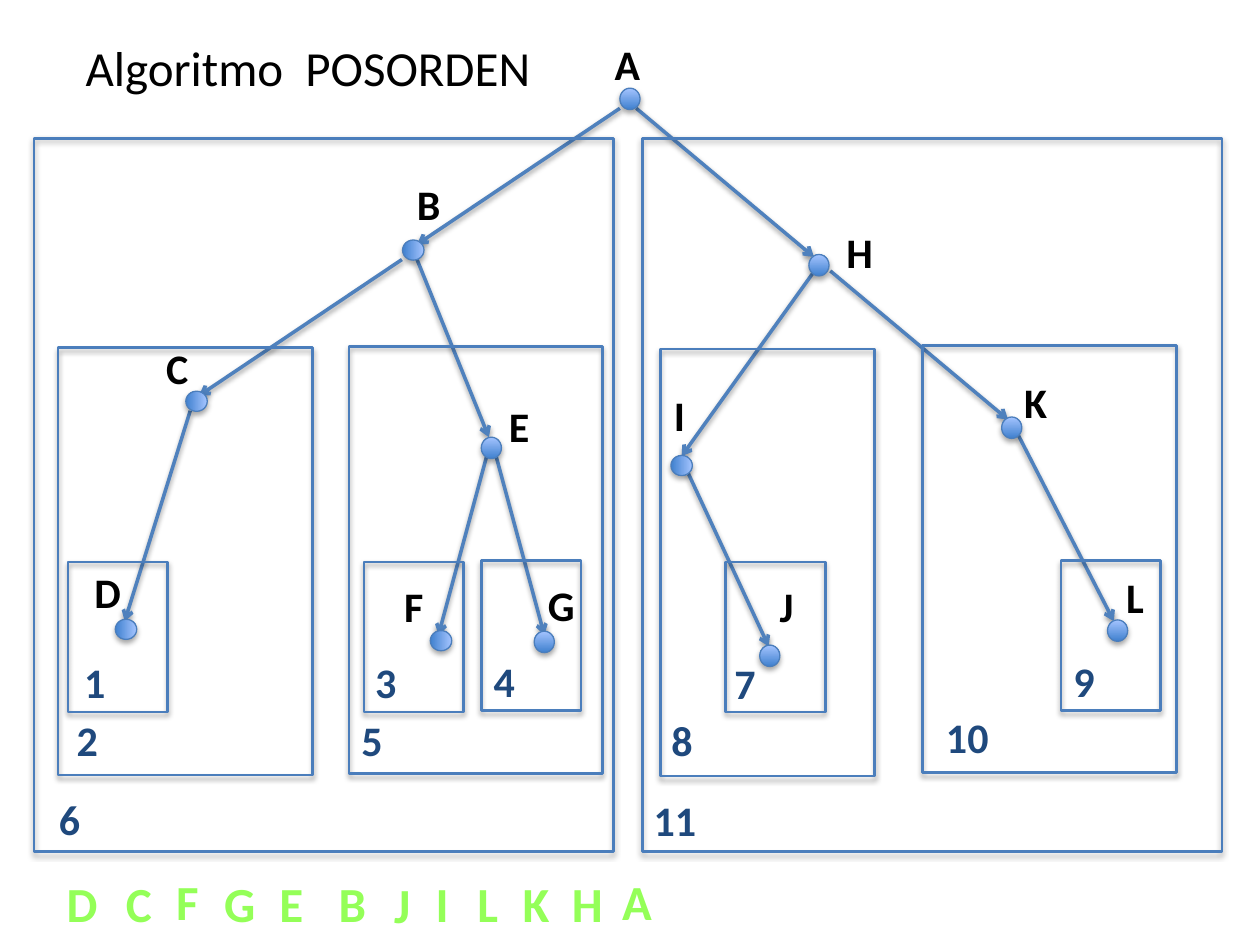
from dataclasses import dataclass
from typing import NamedTuple

from lxml.etree import SubElement
from pptx import Presentation
from pptx.dml.color import RGBColor
from pptx.enum.shapes import MSO_CONNECTOR as Connector, MSO_SHAPE as Shape
from pptx.enum.text import MSO_ANCHOR as Anchor, MSO_AUTO_SIZE as AutoSize, PP_ALIGN as Align
from pptx.oxml import parse_xml
from pptx.oxml.ns import nsdecls, qn
from pptx.util import Inches, Pt


@dataclass(frozen=True)
class Theme:
    font: str = "Calibri"
    ink: str = "000000"
    number: str = "1F497D"
    visit: str = "94FF58"
    visit_outline: str = "295E12"
    border: str = "4B7EBC"
    edge: str = "4F81BD"
    dot_dark: str = "3F80CE"
    dot_light: str = "A4C4FF"
    label_size: int = 24
    large_size: int = 28


class Node(NamedTuple):
    name: str
    left: float
    top: float
    label_left: float
    label_top: float
    turned: bool = False


class Edge(NamedTuple):
    x1: float
    y1: float
    x2: float
    y2: float


class Frame(NamedTuple):
    number: int
    left: float
    top: float
    width: float
    height: float
    number_left: float
    number_top: float


class Visit(NamedTuple):
    name: str
    left: float
    width: float = 0.43
    top: float = 6.88


THEME = Theme()
DOT_WIDTH, DOT_HEIGHT = 0.16, 0.17
LEAF = (0.79, 1.19)
HALF = (4.6, 5.66)

NODES = [
    Node("A", 4.92, 0.7, 4.78, 0.26),
    Node("B", 3.2, 1.9, 3.21, 1.37, True),
    Node("C", 1.48, 3.1, 1.22, 2.67, True),
    Node("D", 0.92, 4.91, 0.65, 4.45, True),
    Node("E", 3.82, 3.47, 3.94, 3.13),
    Node("F", 3.42, 5, 3.11, 4.56, True),
    Node("G", 4.24, 5.01, 4.25, 4.55),
    Node("H", 6.42, 2.02, 6.62, 1.75),
    Node("I", 5.33, 3.61, 5.25, 3.04, True),
    Node("J", 6.03, 5.12, 6.09, 4.56),
    Node("K", 7.95, 3.31, 8.03, 2.94),
    Node("L", 8.79, 4.92, 8.84, 4.49),
]

EDGES = [
    Edge(4.92, 0.86, 3.31, 1.94),
    Edge(5.05, 0.86, 6.46, 2.04),
    Edge(3.19, 2.06, 1.58, 3.14),
    Edge(3.31, 2.06, 3.88, 3.47),
    Edge(1.51, 3.26, 0.99, 4.93),
    Edge(3.86, 3.63, 3.48, 5.04),
    Edge(3.94, 3.63, 4.32, 5.04),
    Edge(6.45, 2.17, 5.41, 3.62),
    Edge(6.59, 2.15, 8, 3.33),
    Edge(5.45, 3.73, 6.1, 5.13),
    Edge(8.08, 3.45, 8.84, 4.93),
]

FRAMES = [
    Frame(1, 0.54, 4.46, *LEAF, 0.57, 5.16),
    Frame(2, 0.46, 2.76, 2.02, 3.39, 0.51, 5.62),
    Frame(3, 2.89, 4.46, *LEAF, 2.88, 5.16),
    Frame(4, 3.82, 4.45, *LEAF, 3.82, 5.15),
    Frame(5, 2.77, 2.75, 2.01, 3.39, 2.77, 5.62),
    Frame(6, 0.27, 1.1, *HALF, 0.37, 6.25),
    Frame(7, 5.76, 4.46, *LEAF, 5.73, 5.17),
    Frame(8, 5.24, 2.77, 1.7, 3.39, 5.23, 5.62),
    Frame(9, 8.42, 4.45, *LEAF, 8.42, 5.15),
    Frame(10, 7.32, 2.74, 2.02, 3.39, 7.41, 5.6),
    Frame(11, 5.1, 1.1, *HALF, 5.09, 6.26),
]

VISITS = [
    Visit("D", 0.43), Visit("C", 0.9), Visit("F", 1.3, top=6.87), Visit("G", 1.68),
    Visit("E", 2.12), Visit("B", 2.59), Visit("J", 3.03, 0.36, 6.89), Visit("I", 3.36, 0.39),
    Visit("L", 3.69), Visit("K", 4.05), Visit("H", 4.44), Visit("A", 4.84, top=6.87),
]


def color(value: str) -> RGBColor:
    return RGBColor.from_string(value)


def cast_shadow(properties, distance: float, opacity: int) -> None:
    for old in properties.findall(qn("a:effectLst")):
        properties.remove(old)
    properties.append(parse_xml(
        f'<a:effectLst {nsdecls("a")}>'
        f'<a:outerShdw blurRad="{Pt(3.1)}" dist="{Pt(distance)}" dir="5400000" rotWithShape="0">'
        f'<a:srgbClr val="000000"><a:alpha val="{opacity * 1000}"/></a:srgbClr>'
        '</a:outerShdw></a:effectLst>'))


def add_span(para, text: str, size: int, ink: str, bold: bool):
    span = para.add_run()
    span.text = text
    span.font.name = THEME.font
    span.font.size = Pt(size)
    span.font.bold = bold
    span.font.color.rgb = color(ink)
    return span


def add_label(page, text: str, left: float, top: float, ink: str,
              width: float = 0.67, height: float = 0.5, size: int = THEME.label_size):
    box = page.shapes.add_textbox(Inches(left), Inches(top), Inches(width), Inches(height))
    box.text_frame.word_wrap = True
    box.text_frame.auto_size = AutoSize.SHAPE_TO_FIT_TEXT
    return add_span(box.text_frame.paragraphs[0], text, size, ink, True)


def add_outlined(page, kind: Shape, left: float, top: float,
                 width: float, height: float, weight: float):
    shape = page.shapes.add_shape(kind, Inches(left), Inches(top), Inches(width), Inches(height))
    shape.line.color.rgb = color(THEME.border)
    shape.line.width = Pt(weight)
    return shape


def draw_edge(page, edge: Edge) -> None:
    line = page.shapes.add_connector(Connector.STRAIGHT, *map(Inches, edge))
    line.line.color.rgb = color(THEME.edge)
    line.line.width = Pt(2)
    SubElement(line.line._get_or_add_ln(), qn("a:tailEnd"), type="arrow")
    cast_shadow(line._element.spPr, 1.6, 38)


def draw_node(page, node: Node) -> None:
    dot = add_outlined(page, Shape.OVAL, node.left, node.top, DOT_WIDTH, DOT_HEIGHT, 0.75)
    dot.rotation = 90 if node.turned else 0
    dot.fill.gradient()
    dot.fill.gradient_angle = 90
    for stop, position, shade in zip(dot.fill.gradient_stops, (0, 1),
                                     (THEME.dot_dark, THEME.dot_light)):
        stop.position = position
        stop.color.rgb = color(shade)
    cast_shadow(dot._element.spPr, 1.8, 35)
    add_label(page, node.name, node.label_left, node.label_top, THEME.ink)


def draw_frame(page, frame: Frame) -> None:
    border = add_outlined(page, Shape.RECTANGLE, frame.left, frame.top,
                          frame.width, frame.height, 1.5)
    border.fill.background()
    cast_shadow(border._element.spPr, 1.8, 35)
    add_label(page, str(frame.number), frame.number_left, frame.number_top, THEME.number)


def draw_visit(page, visit: Visit) -> None:
    span = add_label(page, visit.name, visit.left, visit.top, THEME.visit,
                     visit.width, 0.57, THEME.large_size)
    span.font._element.insert(0, parse_xml(
        f'<a:ln {nsdecls("a")} w="{Pt(0.75)}"><a:solidFill>'
        f'<a:srgbClr val="{THEME.visit_outline}"/></a:solidFill></a:ln>'))


def write_title(page, text: str) -> None:
    title = page.shapes.title
    title.left, title.top, title.width, title.height = map(Inches, (0.58, 0.25, 4.78, 0.57))
    title.text_frame.vertical_anchor = Anchor.TOP
    title.text_frame.auto_size = AutoSize.SHAPE_TO_FIT_TEXT
    para = title.text_frame.paragraphs[0]
    para.alignment = Align.LEFT
    add_span(para, text, THEME.large_size, THEME.ink, False)


def main() -> None:
    deck = Presentation()
    deck.slide_width, deck.slide_height = Inches(10), Inches(7.5)
    page = deck.slides.add_slide(deck.slide_layouts[5])
    write_title(page, "Algoritmo  POSORDEN")
    for draw, items in ((draw_edge, EDGES), (draw_node, NODES),
                        (draw_frame, FRAMES), (draw_visit, VISITS)):
        for item in items:
            draw(page, item)
    deck.save("out.pptx")


if __name__ == "__main__":
    main()
